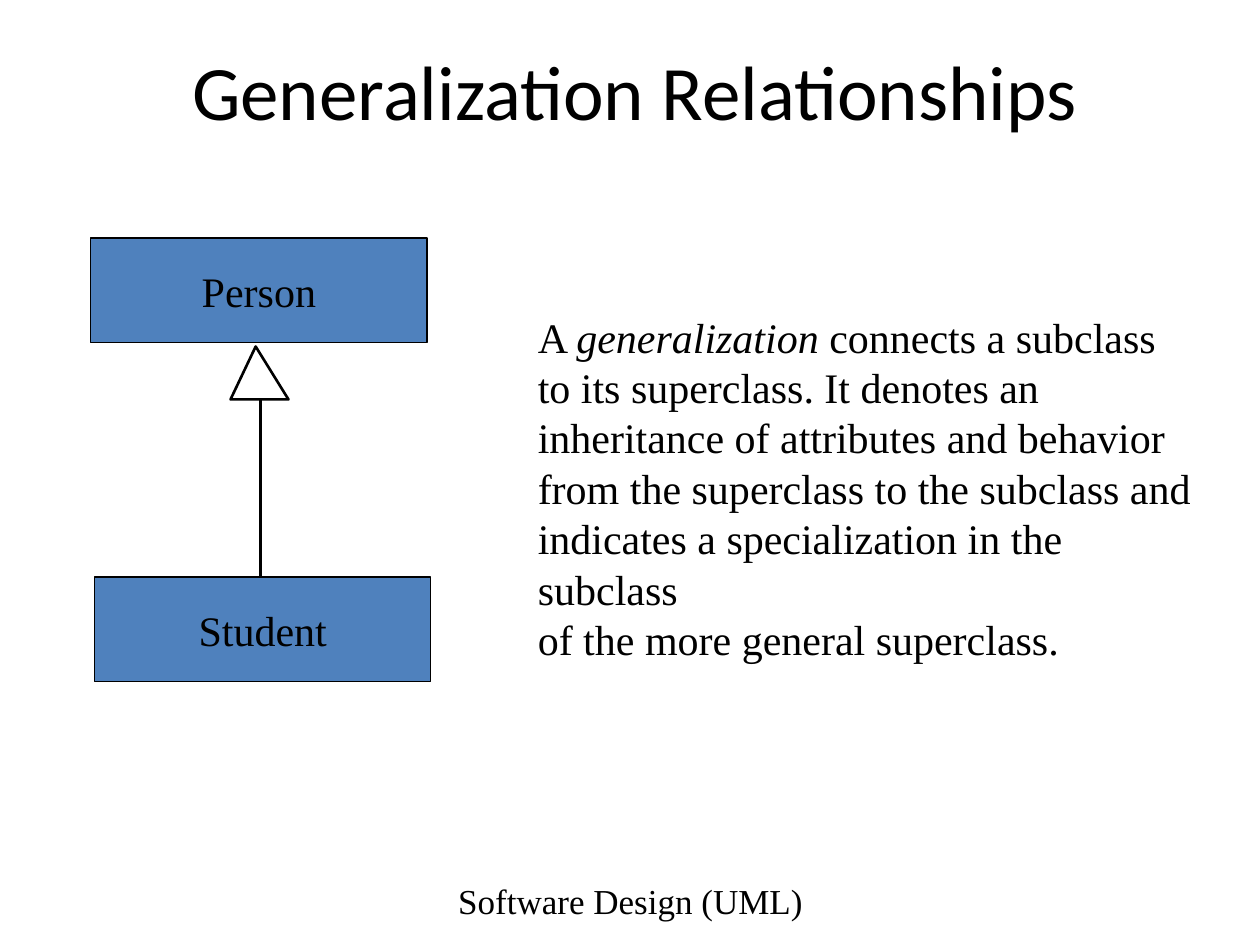
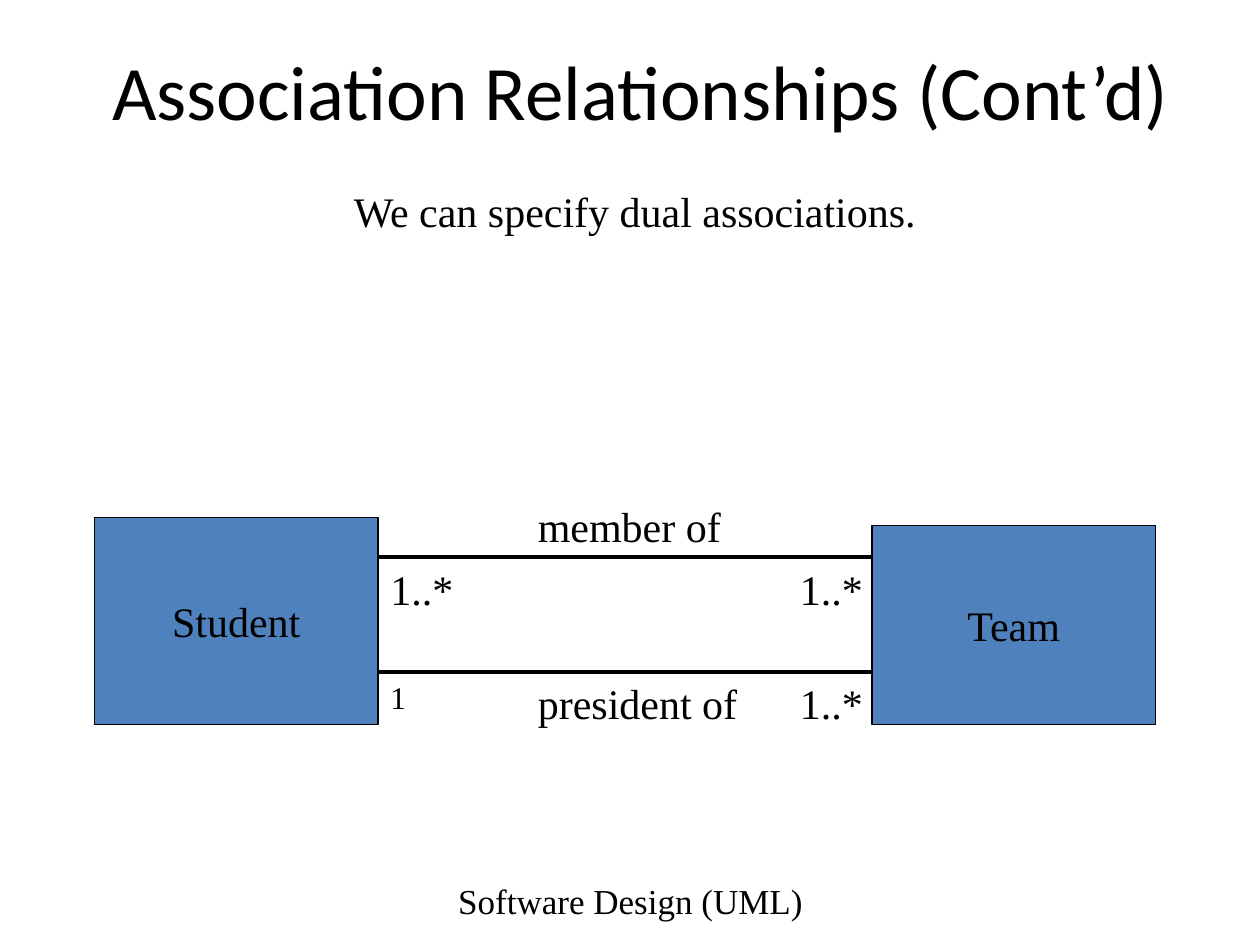
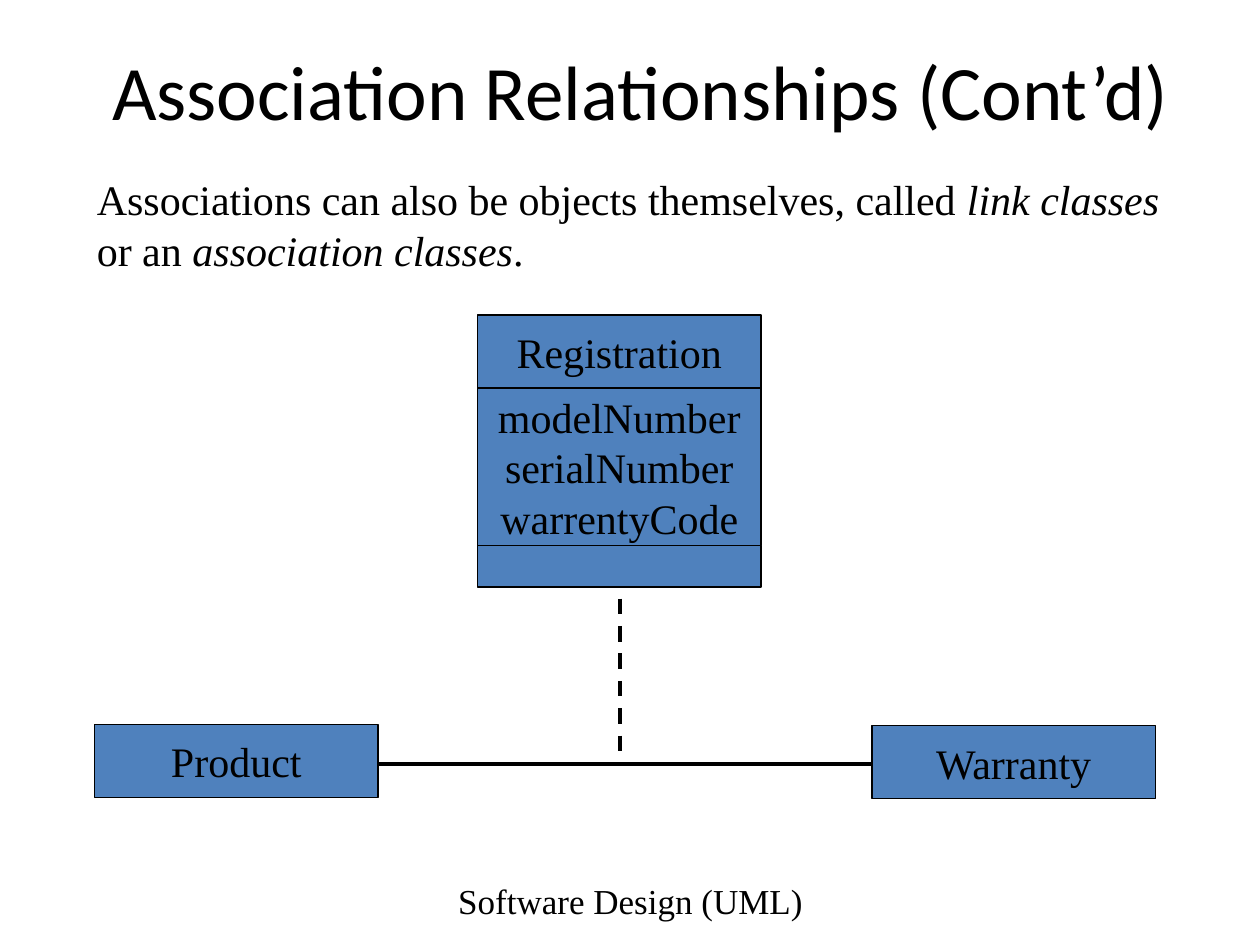
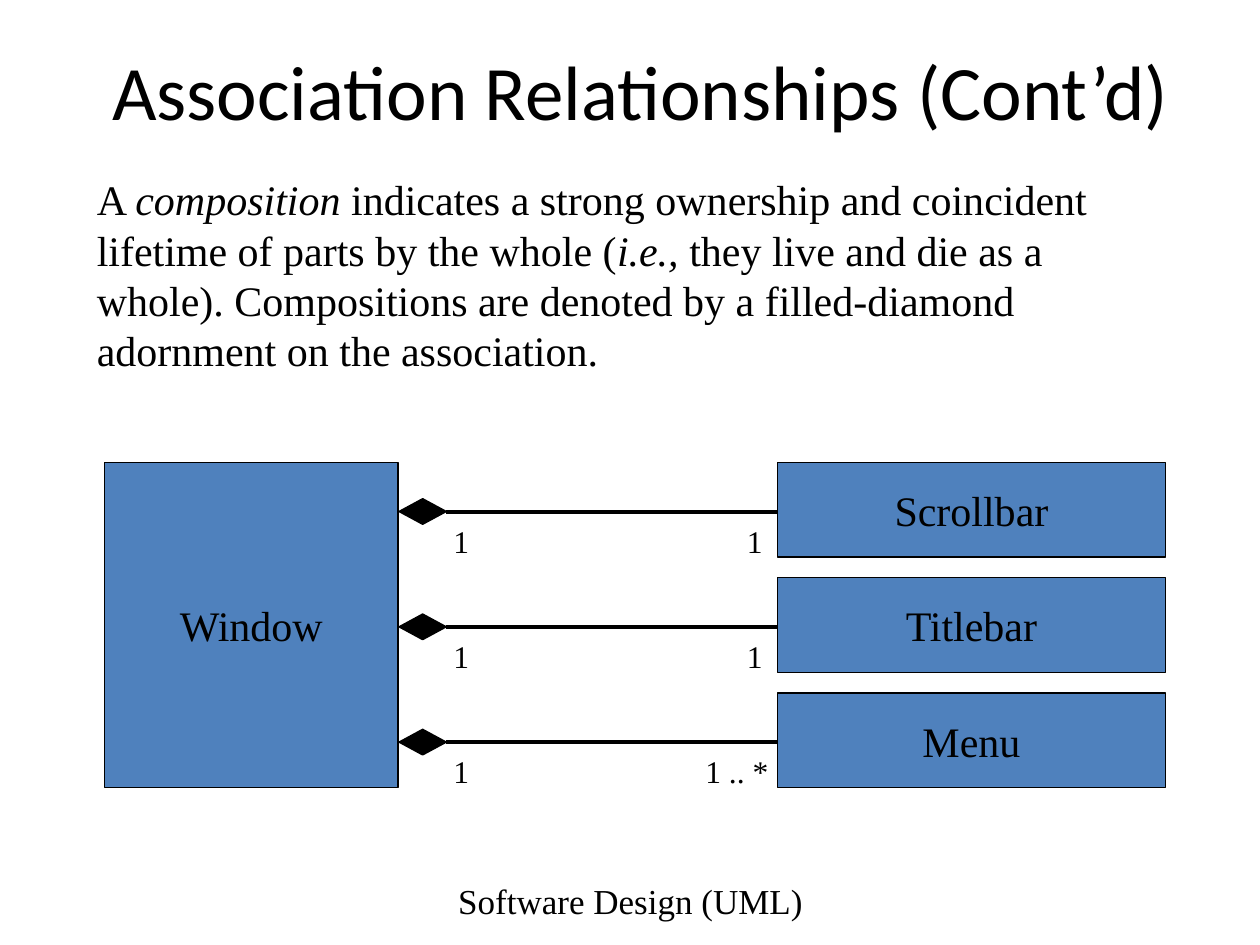
from lxml import etree
from pptx import Presentation
from pptx.dml.color import RGBColor
from pptx.enum.dml import MSO_LINE
from pptx.enum.shapes import MSO_CONNECTOR, MSO_SHAPE
from pptx.enum.text import MSO_ANCHOR, PP_ALIGN
from pptx.oxml.ns import qn
from pptx.util import Inches, Pt

LEFT, CENTER = PP_ALIGN.LEFT, PP_ALIGN.CENTER
TOP, MIDDLE = MSO_ANCHOR.TOP, MSO_ANCHOR.MIDDLE
RECT, STRAIGHT, DASH = MSO_SHAPE.RECTANGLE, MSO_CONNECTOR.STRAIGHT, MSO_LINE.DASH
BLACK, WHITE, BLUE = "000000", "FFFFFF", "4F81BD"
HEAD, BODY = "Calibri", "Times New Roman"
FOOTER = "Software Design (UML)"
ASSOC = "Association Relationships (Cont’d)"


def color(code):
    return RGBColor.from_string(code)


def write(shape, lines, size=24, font=BODY, align=LEFT, anchor=TOP, wrap=True):
    frame = shape.text_frame
    frame.word_wrap = wrap
    frame.vertical_anchor = anchor
    for i, line in enumerate(lines):
        para = frame.paragraphs[0] if i == 0 else frame.add_paragraph()
        para.alignment = align
        para.font.size = Pt(size)
        para.font.name = font
        para.font.color.rgb = color(BLACK)
        for j, part in enumerate(line.split("_")):
            if part:
                run = para.add_run()
                run.text = part
                if j % 2:
                    run.font.italic = True


def label(slide, box, *lines, **style):
    write(slide.shapes.add_textbox(*map(Inches, box)), lines, **style)


def paint(shape, fill, width):
    shape.shadow.inherit = False
    shape.fill.solid()
    shape.fill.fore_color.rgb = color(fill)
    shape.line.color.rgb = color(BLACK)
    shape.line.width = Pt(width)


def block(slide, box, *lines):
    shape = slide.shapes.add_shape(RECT, *map(Inches, box))
    paint(shape, BLUE, 0.75)
    write(shape, lines, align=CENTER, anchor=MIDDLE, wrap=False)


def link(slide, start, end, width=2.25, dash=None):
    line = slide.shapes.add_connector(STRAIGHT, *map(Inches, start + end))
    line.line.color.rgb = color(BLACK)
    line.line.width = Pt(width)
    if dash:
        line.line.dash_style = dash
    etree.SubElement(line._element.spPr, qn("a:effectLst"))


def outline(slide, points, fill, width):
    points = [(Inches(x), Inches(y)) for x, y in points]
    path = slide.shapes.build_freeform(*points[0])
    path.add_line_segments(points[1:], close=True)
    paint(path.convert_to_shape(), fill, width)


def page(deck, title, box=(0.67, 0.42, 8.83, 0.58)):
    slide = deck.slides.add_slide(deck.slide_layouts[6])
    label(slide, (3.42, 6.95, 3.17, 0.4), FOOTER, size=20, align=CENTER, anchor=MIDDLE)
    label(slide, box, title, size=44, font=HEAD, align=CENTER, anchor=MIDDLE)
    return slide


def inherit(slide, x, y):
    wide, high = 2.67, 0.83
    block(slide, (x, y, wide, high), "Person")
    block(slide, (x + 0.03, y + 2.69, wide, high), "Student")
    link(slide, (x + 1.35, y + 1.28), (x + 1.35, y + 2.69), 1.5)
    tip = [(x + 1.31, y + 0.86), (x + 1.11, y + 1.28), (x + 1.57, y + 1.28)]
    outline(slide, tip, WHITE, 1.5)


def dual(slide, x, y):
    wide, right = 2.25, x + 6.17
    edge, mid, far = x + wide, x + 3.42, x + 5.5
    high, low = y + 0.31, y + 1.22
    for row in (high, low):
        link(slide, (edge, row), (right, row))
        label(slide, (far, row, 0.75, 0.5), "1..*")
    block(slide, (right, y + 0.06, wide, 1.58), "Team")
    block(slide, (x, y, wide, 1.64), "Student")
    label(slide, (mid, high - 0.5, 1.92, 0.5), "member of")
    label(slide, (mid, low, 1.92, 0.5), "president of")
    label(slide, (edge, high, 0.75, 0.5), "1..*")
    label(slide, (edge, low, 0.42, 0.4), "1", size=18)


def record(slide, x, y, wide):
    block(slide, (x, y + 1.83, wide, 0.33))
    block(slide, (x, y, wide, 0.58), "Registration")
    block(slide, (x, y + 0.58, wide, 1.25), "modelNumber", "serialNumber", "warrentyCode")


def bridge(slide, x, y):
    wide, high = 2.25, 0.58
    axis = y + 3.56
    link(slide, (x + wide, axis), (x + 6.17, axis))
    block(slide, (x + 6.17, y + 3.26, wide, high), "Warranty")
    block(slide, (x, y + 3.25, wide, high), "Product")
    link(slide, (x + 4.17, y + 2.25), (x + 4.17, y + 3.58), dash=DASH)
    record(slide, x + 3.04, y, wide)


def whole(slide, x, y):
    parts = [("Scrollbar", "1", 5, 0.33), ("Titlebar", "1", 5, 0.33),
             ("Menu", "1 .. *", 4.67, 0.83)]
    block(slide, (x, y, 2.33, 2.58), "Window")
    edge, tip, right = x + 2.34, x + 2.71, x + 5.34
    mid = (edge + tip) / 2
    for i, (name, count, left, wide) in enumerate(parts):
        top = y + i * 0.915
        axis = top + 0.39
        link(slide, (tip, axis), (right, axis))
        gem = [(edge, axis), (mid, axis - 0.1), (tip, axis), (mid, axis + 0.1)]
        outline(slide, gem, BLACK, 1)
        block(slide, (right, top, 3.08, 0.75), name)
        label(slide, (x + 2.67, top + 0.42, 0.33, 0.4), "1", size=18)
        label(slide, (x + left, top + 0.42, wide, 0.4), count, size=18)


def main():
    deck = Presentation()
    deck.slide_width, deck.slide_height = Inches(10), Inches(7.5)

    slide = page(deck, "Generalization Relationships", (0.75, 0.42, 8.58, 0.58))
    inherit(slide, 0.72, 1.89)
    label(slide, (4.17, 2.42, 5.5, 2.5),
          "A _generalization_ connects a subclass",
          "to its superclass. It denotes an",
          "inheritance of attributes and behavior",
          "from the superclass to the subclass and",
          "indicates a specialization in the subclass",
          "of the more general superclass.")

    slide = page(deck, ASSOC)
    label(slide, (0.75, 1.42, 8.58, 0.5), "We can specify dual associations.", align=CENTER)
    dual(slide, 0.75, 4.11)

    slide = page(deck, ASSOC)
    label(slide, (0.67, 1.33, 8.87, 0.9),
          "Associations can also be objects themselves, called _link classes_"
          " or an _association classes_.")
    bridge(slide, 0.75, 2.5)

    slide = page(deck, ASSOC)
    label(slide, (0.67, 1.33, 8.58, 1.7),
          "A _composition _indicates a strong ownership and coincident lifetime of parts"
          " by the whole (_i.e.,_ they live and die as a whole). Compositions are denoted"
          " by a filled-diamond adornment on the association.")
    whole(slide, 0.83, 3.67)

    deck.save("out.pptx")


if __name__ == "__main__":
    main()
